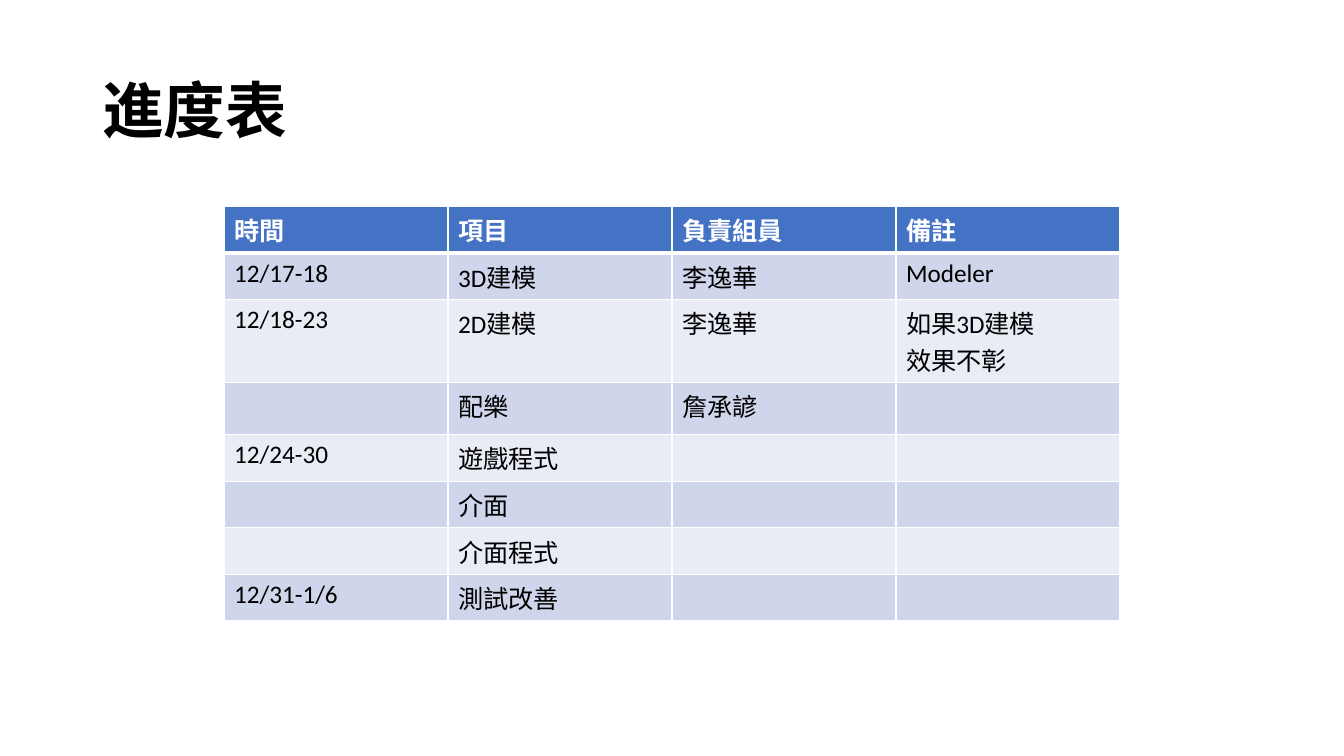
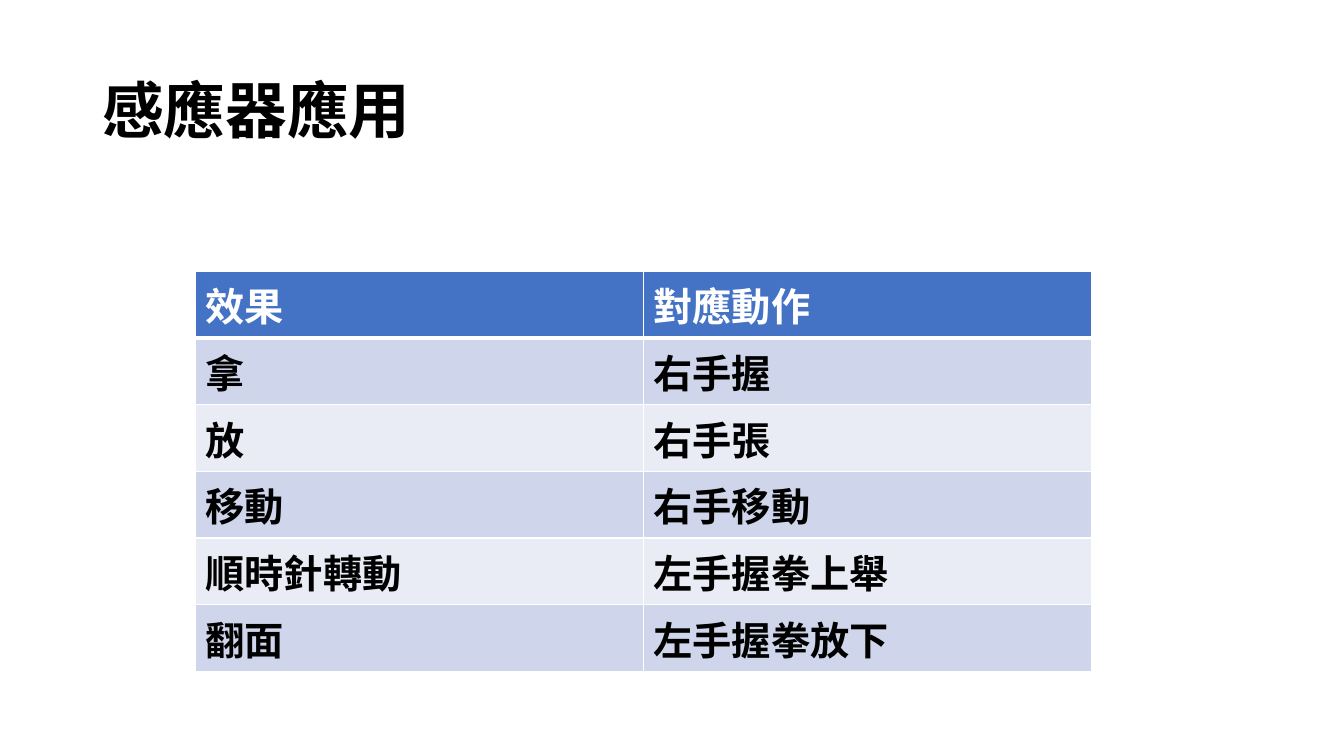
import dataclasses

import lxml.etree
import pptx
import pptx.dml.color
import pptx.enum.text
import pptx.oxml.ns
import pptx.util


@dataclasses.dataclass(frozen=True)
class Theme:
    header_fill: str = "4472C4"
    band_fills: tuple = ("CFD5EA", "E9EBF5")
    border: str = "FFFFFF"
    header_text: str = "FFFFFF"
    text: str = "000000"
    latin_font: str = "Calibri"
    chinese_font: str = "Noto Sans CJK SC"
    title_size: float = 44
    schedule_size: float = 18
    action_size: float = 28
    border_width: float = 1
    header_rule_width: float = 3


THEME = Theme()

SCHEDULE = [
    ("時間", "項目", "負責組員", "備註"),
    ("12/17-18", "3D建模", "李逸華", "Modeler"),
    ("12/18-23", "2D建模", "李逸華", "如果3D建模\n效果不彰"),
    ("", "配樂", "詹承諺", ""),
    ("12/24-30", "遊戲程式", "", ""),
    ("", "介面", "", ""),
    ("", "介面程式", "", ""),
    ("12/31-1/6", "測試改善", "", ""),
]

SENSOR_ACTIONS = [
    ("效果", "對應動作"),
    ("拿", "右手握"),
    ("放", "右手張"),
    ("移動", "右手移動"),
    ("順時針轉動", "左手握拳上舉"),
    ("翻面", "左手握拳放下"),
]


def rgb(color):
    return pptx.dml.color.RGBColor.from_string(color)


def style_paragraph(paragraph, font_name, size, color, bold):
    font = paragraph.font
    font.name = font_name
    font.size = pptx.util.Pt(size)
    font.bold = bold
    font.color.rgb = rgb(color)
    properties = paragraph._p.pPr.find(pptx.oxml.ns.qn("a:defRPr"))
    east_asian = lxml.etree.SubElement(properties, pptx.oxml.ns.qn("a:ea"))
    east_asian.set("typeface", THEME.chinese_font)


def set_borders(cell, top, bottom):
    """Draw all four cell edges; top and bottom are widths in points."""
    properties = cell._tc.get_or_add_tcPr()
    widths = {"L": THEME.border_width, "R": THEME.border_width, "T": top, "B": bottom}
    for side, width in widths.items():
        line = lxml.etree.SubElement(properties, pptx.oxml.ns.qn(f"a:ln{side}"))
        line.set("w", str(pptx.util.Pt(width)))
        fill = lxml.etree.SubElement(line, pptx.oxml.ns.qn("a:solidFill"))
        color = lxml.etree.SubElement(fill, pptx.oxml.ns.qn("a:srgbClr"))
        color.set("val", THEME.border)


def add_titled_slide(presentation, title):
    slide = presentation.slides.add_slide(presentation.slide_layouts[6])
    box = slide.shapes.add_textbox(
        pptx.util.Pt(66), pptx.util.Pt(28.75), pptx.util.Pt(828), pptx.util.Pt(104.4)
    )
    frame = box.text_frame
    frame.word_wrap = True
    frame.vertical_anchor = pptx.enum.text.MSO_ANCHOR.MIDDLE
    frame.text = title
    paragraph = frame.paragraphs[0]
    paragraph.line_spacing = 0.9
    style_paragraph(paragraph, THEME.chinese_font, THEME.title_size, THEME.text, True)
    return slide


def fill_cell(cell, text, row_index, font_name, size, bold):
    is_header = row_index == 0
    set_borders(
        cell,
        top=THEME.header_rule_width if row_index == 1 else THEME.border_width,
        bottom=THEME.header_rule_width if is_header else THEME.border_width,
    )
    cell.fill.solid()
    band = THEME.band_fills[(row_index - 1) % len(THEME.band_fills)]
    cell.fill.fore_color.rgb = rgb(THEME.header_fill if is_header else band)
    cell.text = text
    color = THEME.header_text if is_header else THEME.text
    for paragraph in cell.text_frame.paragraphs:
        style_paragraph(paragraph, font_name, size, color, is_header or bold)


def add_banded_table(slide, rows, left, top, row_height, font_name, size,
                     bold=False, tall_rows=None):
    """Add a header row and banded rows; tall_rows maps a row index to its own height."""
    width = 640
    column_count = len(rows[0])
    heights = [(tall_rows or {}).get(index, row_height) for index in range(len(rows))]
    table = slide.shapes.add_table(
        len(rows), column_count, pptx.util.Pt(left), pptx.util.Pt(top),
        pptx.util.Pt(width), pptx.util.Pt(sum(heights)),
    ).table
    for column in table.columns:
        column.width = pptx.util.Pt(width / column_count)
    for row_index, (texts, height) in enumerate(zip(rows, heights)):
        table.rows[row_index].height = pptx.util.Pt(height)
        for column_index, text in enumerate(texts):
            cell = table.cell(row_index, column_index)
            fill_cell(cell, text, row_index, font_name, size, bold)


def main():
    presentation = pptx.Presentation()
    presentation.slide_width = pptx.util.Pt(960)
    presentation.slide_height = pptx.util.Pt(540)

    schedule_slide = add_titled_slide(presentation, "進度表")
    add_banded_table(
        schedule_slide, SCHEDULE, 160, 147.6, 33.25,
        THEME.latin_font, THEME.schedule_size, tall_rows={2: 59.3, 3: 37.2},
    )

    sensor_slide = add_titled_slide(presentation, "感應器應用")
    add_banded_table(
        sensor_slide, SENSOR_ACTIONS, 139.7, 193.9, 47.6,
        THEME.chinese_font, THEME.action_size, bold=True,
    )

    presentation.save("out.pptx")


if __name__ == "__main__":
    main()
